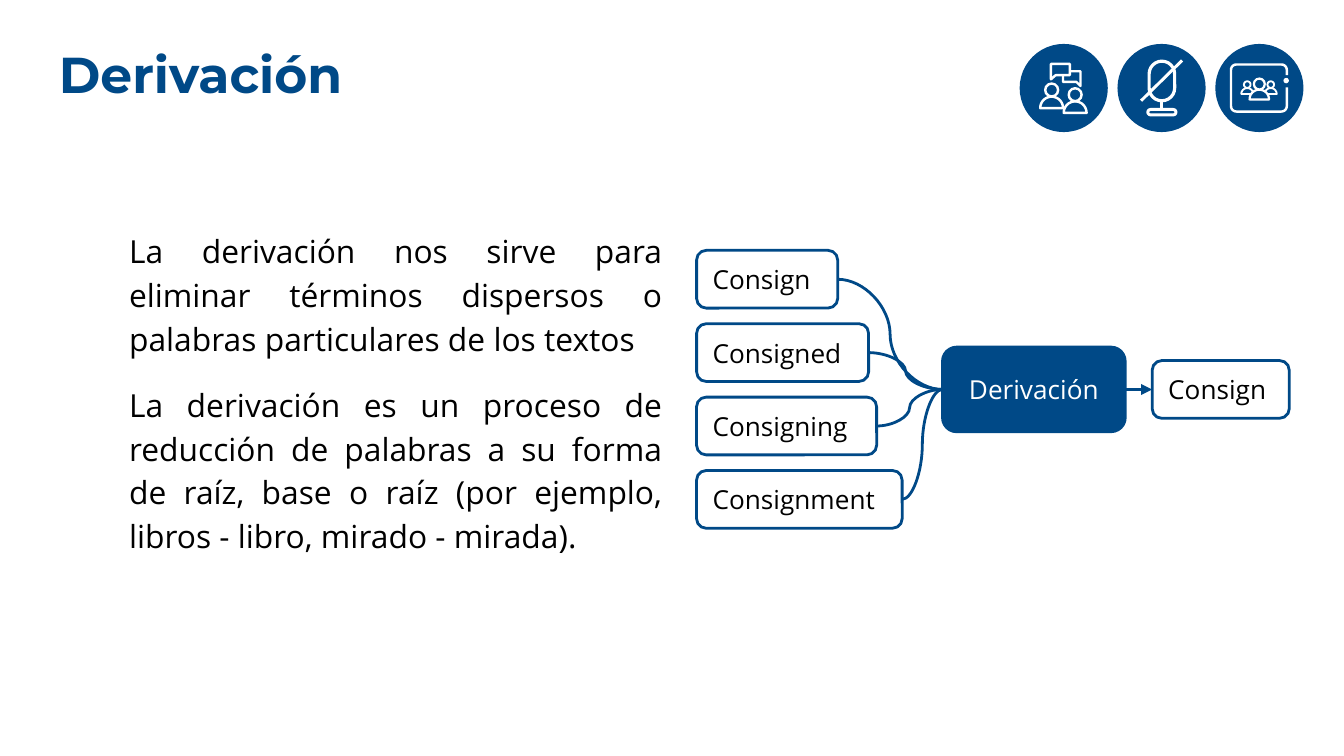
"""Build a slide on word derivation: two paragraphs, a stemming diagram and three icons."""
import math
from dataclasses import dataclass

from lxml import etree
from pptx import Presentation
from pptx import util as u
from pptx.dml.color import RGBColor
from pptx.enum import shapes, text
from pptx.oxml.ns import qn

BLUE, WHITE, BLACK = "004987", "FFFFFF", "000000"
COLS, ROWS = 100, 56.25
CELL = u.Inches(10) / COLS
ROUND, OVAL = shapes.MSO_SHAPE.ROUNDED_RECTANGLE, shapes.MSO_SHAPE.OVAL
LABEL = {"size": u.Pt(14), "name": "Open Sans"}


@dataclass
class Box:
    """A rectangle in grid columns and rows."""
    x: float
    y: float
    w: float
    h: float


@dataclass
class Node:
    """A labelled box of the diagram."""
    label: str
    box: Box
    fill: str = ""
    color: str = BLACK
    align: int = text.PP_ALIGN.LEFT


@dataclass
class Person:
    """A head and shoulders, placed by the middle of the base."""
    x: float
    base: float
    scale: float
    width: float


def grid(*values: float) -> list[int]:
    """Turn grid cells into slide lengths."""
    return [u.Emu(round(v * CELL)) for v in values]


def paint(fmt, color: str) -> None:
    """Give a fill, or leave it empty when no colour is named."""
    if color:
        fmt.solid()
        fmt.fore_color.rgb = RGBColor.from_string(color)
    else:
        fmt.background()


def apply(obj, values: dict) -> None:
    """Set each named attribute."""
    for name, value in values.items():
        setattr(obj, name, value)


def finish(sp, fill: str = "", line: str = "", width: float = 1.5):
    """Set fill and outline and remove the shadow."""
    sp.shadow.inherit = False
    paint(sp.fill, fill)
    paint(sp.line.fill, line)
    if line:
        sp.line.width = u.Pt(width)
    return sp


def shape(s, kind, box: Box, adj: float | None = None, **style):
    """Add a preset shape."""
    sp = s.shapes.add_shape(kind, *grid(box.x, box.y, box.w, box.h))
    if adj is not None:
        sp.adjustments[0] = adj
    return finish(sp, **style)


def outline(s, points: list, close: bool = False, **style):
    """Add a white stroke through the points."""
    pts = [grid(*p) for p in points]
    fb = s.shapes.build_freeform(*pts[0])
    fb.add_line_segments(pts[1:], close=close)
    return finish(fb.convert_to_shape(), line=WHITE, **style)


def arc(cx: float, cy: float, r: float, start: int, end: int, steps: int = 24) -> list:
    """List points along a circular arc, with angles in degrees."""
    angles = [math.radians(start + (end - start) * i / steps) for i in range(steps + 1)]
    return [(cx + r * math.cos(a), cy + r * math.sin(a)) for a in angles]


def write(tf, paragraphs: list[str], font: dict, color: str, inset: float, **fmt) -> None:
    """Fill a text frame, with one font throughout."""
    tf.word_wrap = True
    apply(tf, {f"margin_{side}": u.Inches(inset) for side in ("left", "top", "right", "bottom")})
    for i, words in enumerate(paragraphs):
        p = tf.paragraphs[0] if i == 0 else tf.add_paragraph()
        apply(p, fmt)
        if i:
            apply(p, {"space_before": u.Pt(12), "space_after": u.Pt(12)})
        r = p.add_run()
        r.text = words
        apply(r.font, font)
        r.font.color.rgb = RGBColor.from_string(color)


def text_box(s, box: Box, *args, **fmt) -> None:
    """Add a text box."""
    sp = s.shapes.add_textbox(*grid(box.x, box.y, box.w, box.h))
    write(sp.text_frame, *args, **fmt)


def node(s, n: Node):
    """Draw a diagram node."""
    sp = shape(s, ROUND, n.box, 0.167, fill=n.fill, line=BLUE)
    write(sp.text_frame, [n.label], LABEL, n.color, 0.1, alignment=n.align)
    sp.text_frame.vertical_anchor = text.MSO_ANCHOR.MIDDLE
    return sp


def link(s, a, b, arrow: bool = False) -> None:
    """Join the right side of one node to the left side of another."""
    c = s.shapes.add_connector(shapes.MSO_CONNECTOR.CURVE, 0, 0, 0, 0)
    c.begin_connect(a, 3)
    c.end_connect(b, 1)
    paint(c.line.fill, BLUE)
    c.line.width = u.Pt(1.5)
    if arrow:
        ln = c._element.spPr.find(qn("a:ln"))
        etree.SubElement(ln, qn("a:tailEnd"), type="triangle")
    etree.SubElement(c._element.spPr, qn("a:effectLst"))


def person(s, m: Person) -> None:
    """Draw a person as a half disc below a circle."""
    k = m.scale
    outline(s, arc(m.x, m.base, 0.85 * k, 180, 360), True, fill=BLUE, width=m.width)
    head = Box(m.x - 0.48 * k, m.base - 1.83 * k, 0.96 * k, 0.96 * k)
    shape(s, OVAL, head, fill=BLUE, line=WHITE, width=m.width)


def icons(s) -> None:
    """Draw the talk, muted microphone and meeting icons."""
    for i in range(3):
        shape(s, OVAL, Box(75.87 + 7.28 * i, 3.27, 6.56, 6.56), fill=BLUE)

    outline(s, [(78.2, 5.9), (78.2, 4.75), (79.6, 4.75), (79.6, 5.6), (78.55, 5.6)], True, width=1.3)
    outline(s, [(79.1, 5.6), (79.1, 6.1), (80.1, 6.1), (80.4, 6.4), (80.4, 5.3), (79.6, 5.3)], width=1.3)

    shape(s, ROUND, Box(85.5, 4.55, 1.9, 2.95), 0.5, line=WHITE, width=1.7)
    shape(s, ROUND, Box(85.4, 8.15, 2.1, 0.4), 0.5, line=WHITE, width=1.6)
    outline(s, [(86.4, 7.5), (86.4, 8.15)], width=1.6)
    outline(s, [(84.9, 7.5), (87.95, 4.5)], width=1.6)

    left, top, right, bottom, r = 91.6, 4.8, 95.75, 8.3, 0.4
    corners = [(right - r, bottom - r, 0), (left + r, bottom - r, 90),
               (left + r, top + r, 180), (right - r, top + r, 270)]
    frame = [pt for x, y, a in corners for pt in arc(x, y, r, a, a + 90, 6)]
    outline(s, [(right, 6.5), *frame, (right, 5.6)], width=1.3)
    shape(s, OVAL, Box(95.5, 5.8, 0.4, 0.4), fill=WHITE)

    for m in (Person(78.25, 8.05, 1, 1.3), Person(80, 8.4, 1, 1.3), Person(92.8, 7, 0.52, 1),
              Person(94.55, 7, 0.52, 1), Person(93.7, 7.4, 0.85, 1.2)):
        person(s, m)


def main() -> None:
    """Build and save the slide."""
    prs = Presentation()
    prs.slide_width, prs.slide_height = grid(COLS, ROWS)
    s = prs.slides.add_slide(prs.slide_layouts[6])
    icons(s)
    text_box(s, Box(3.4, 2.2, 61.4, 6.3), ["Derivación"],
             {"size": u.Pt(27), "name": "Montserrat", "bold": True}, BLUE, 0.1)
    text_box(s, Box(8.9, 16.14, 41.1, 31.2), [
        "La derivación nos sirve para eliminar términos dispersos o palabras particulares de los textos",
        "La derivación es un proceso de reducción de palabras a su forma de raíz, base o raíz "
        "(por ejemplo, libros - libro, mirado - mirada).",
    ], {"size": u.Pt(17), "name": "Open Sans"}, BLACK, 0.07,
        alignment=text.PP_ALIGN.JUSTIFY, line_spacing=1.15)

    words = {"Consign": 10.5, "Consigned": 12.8, "Consigning": 13.4, "Consignment": 15.3}
    variants = [node(s, Node(word, Box(51.83, 18.63 + 5.46 * i, w, 4.3)))
                for i, (word, w) in enumerate(words.items())]
    hub = node(s, Node("Derivación", Box(70.13, 25.83, 13.6, 6.3), BLUE, WHITE, text.PP_ALIGN.CENTER))
    stem = node(s, Node("Consign", Box(85.73, 26.83, 10.2, 4.3)))
    for variant in variants:
        link(s, variant, hub)
    link(s, hub, stem, arrow=True)
    prs.save("out.pptx")


if __name__ == "__main__":
    main()
